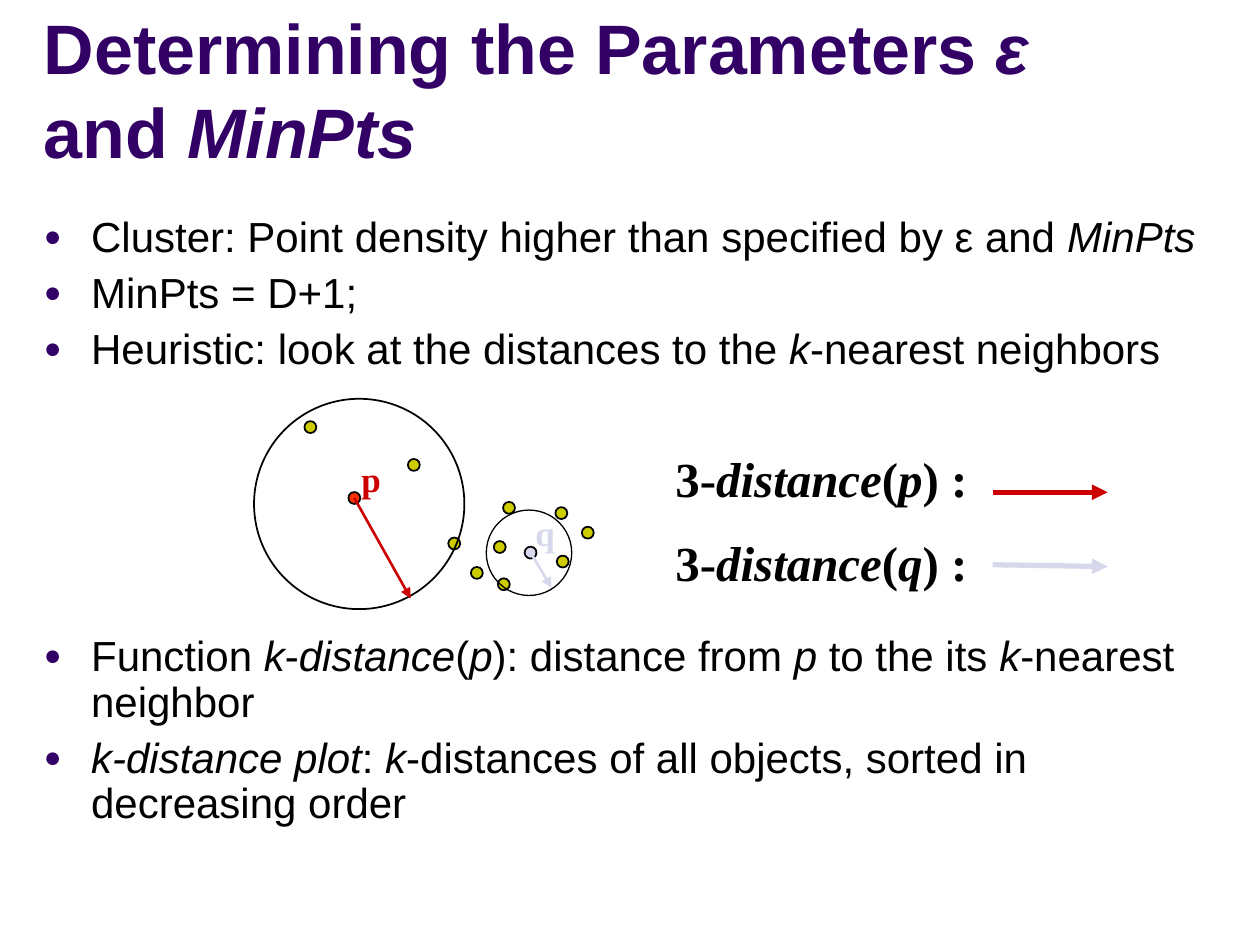
import pptx
import pptx.util
import pptx.dml.color
import pptx.enum.shapes
import pptx.enum.text
import pptx.oxml.ns
from lxml import etree

Pt = pptx.util.Pt
RGBColor = pptx.dml.color.RGBColor
ANCHOR = pptx.enum.text.MSO_ANCHOR
ALIGN = pptx.enum.text.PP_ALIGN

PURPLE = RGBColor(0x33, 0x00, 0x66)
BLACK = RGBColor(0x00, 0x00, 0x00)
OLIVE = RGBColor(0xCC, 0xCC, 0x00)
ORANGE = RGBColor(0xFF, 0x33, 0x00)
RED = RGBColor(0xCC, 0x00, 0x00)
LAVENDER = RGBColor(0xD8, 0xD8, 0xEC)

TITLE = "Determining the Parameters *ε* and *MinPts*"
UPPER_BULLETS = [
    "Cluster: Point density higher than specified by ε and *MinPts*",
    "MinPts = D+1;",
    "Heuristic: look at the distances to the *k*-nearest neighbors",
]
LOWER_BULLETS = [
    "Function *k*-*distance*(*p*): distance from *p* to the its *k*-nearest neighbor",
    "*k-distance plot*: *k*-distances of all objects, sorted in decreasing order",
]
POINT_SIZE = 6.8
POINT_P = (202.5, 284.6)
POINT_Q = (303.2, 315.8)
NEIGHBORS = [
    (272.5, 327.4), (259.6, 310.6), (335.9, 304.4), (285.6, 312.6),
    (290.9, 290.2), (320.8, 293.2), (321.6, 320.9), (287.9, 333.9),
    (236.5, 265.7), (177.4, 244.1),
]
NEIGHBORHOODS = [((205.3, 288), 120.2, 1), ((302.3, 315.9), 48.8, 0.75)]
POINT_LABELS = [("p", 199.4, 257.8, RED), ("q", 298.8, 288.7, LAVENDER)]
LEGEND = [("3-*distance*(*p*) :", 252.7), ("3-*distance*(*q*) :", 301)]
ARROWS = [
    (POINT_P, (234.7, 342), RED, 1.5),
    ((567.2, 281.3), (633, 281.3), RED, 3),
    (POINT_Q, (315.2, 335.9), LAVENDER, 1.5),
    ((567.2, 322.7), (633, 323.8), LAVENDER, 3),
]


def add_bullet(paragraph):
    properties = paragraph._p.get_or_add_pPr()
    properties.set("marL", str(Pt(27)))
    properties.set("indent", str(-Pt(27)))
    color = etree.SubElement(properties, pptx.oxml.ns.qn("a:buClr"))
    etree.SubElement(color, pptx.oxml.ns.qn("a:srgbClr"), val=str(PURPLE))
    etree.SubElement(properties, pptx.oxml.ns.qn("a:buSzPct"), val="70000")
    etree.SubElement(properties, pptx.oxml.ns.qn("a:buFont"), typeface="Arial")
    etree.SubElement(properties, pptx.oxml.ns.qn("a:buChar"), char="●")


def add_text(slide, paragraphs, box, size, font="Arial", color=BLACK, bold=False,
             bullets=False, wrap=True, anchor=ANCHOR.TOP, align=ALIGN.LEFT):
    frame = slide.shapes.add_textbox(*map(Pt, box)).text_frame
    frame.word_wrap = wrap
    frame.vertical_anchor = anchor
    for index, text in enumerate(paragraphs):
        paragraph = frame.add_paragraph() if index else frame.paragraphs[0]
        paragraph.alignment = align
        if bullets:
            paragraph.line_spacing = 0.9
            paragraph.space_before = Pt(6 if index else 0)
            add_bullet(paragraph)
        for position, piece in enumerate(text.split("*")):
            if piece:
                run = paragraph.add_run()
                run.text = piece
                run.font.name = font
                run.font.size = Pt(size)
                run.font.bold = bold
                run.font.italic = position % 2 == 1
                run.font.color.rgb = color


def add_circle(slide, center, diameter, fill=None, line_width=1):
    left, top = (value - diameter / 2 for value in center)
    circle = slide.shapes.add_shape(pptx.enum.shapes.MSO_SHAPE.OVAL,
                                    Pt(left), Pt(top), Pt(diameter), Pt(diameter))
    circle.shadow.inherit = False
    if fill is None:
        circle.fill.background()
    else:
        circle.fill.solid()
        circle.fill.fore_color.rgb = fill
    circle.line.color.rgb = BLACK
    circle.line.width = Pt(line_width)


def add_arrow(slide, start, end, color, width):
    arrow = slide.shapes.add_connector(pptx.enum.shapes.MSO_CONNECTOR.STRAIGHT,
                                       *map(Pt, start + end))
    arrow.line.color.rgb = color
    arrow.line.width = Pt(width)
    etree.SubElement(arrow.line._get_or_add_ln(), pptx.oxml.ns.qn("a:tailEnd"),
                     type="triangle")
    etree.SubElement(arrow._element.spPr, pptx.oxml.ns.qn("a:effectLst"))


def main():
    presentation = pptx.Presentation()
    presentation.slide_width, presentation.slide_height = Pt(720), Pt(540)
    slide = presentation.slides.add_slide(presentation.slide_layouts[6])

    add_text(slide, [TITLE], (18, 0, 582, 102), 40, color=PURPLE, bold=True,
             anchor=ANCHOR.BOTTOM)
    add_text(slide, UPPER_BULLETS, (18, 120.2, 690, 100), 24, bullets=True)
    add_text(slide, LOWER_BULLETS, (18, 359.6, 690, 120), 24, bullets=True)

    for center in NEIGHBORS:
        add_circle(slide, center, POINT_SIZE, fill=OLIVE)
    add_circle(slide, POINT_P, POINT_SIZE, fill=ORANGE)
    add_circle(slide, POINT_Q, POINT_SIZE, fill=LAVENDER)
    for center, diameter, line_width in NEIGHBORHOODS:
        add_circle(slide, center, diameter, line_width=line_width)

    for label, left, top, color in POINT_LABELS:
        add_text(slide, [label], (left, top, 28.8, 31), 20, font="Times New Roman",
                 color=color, bold=True)
    for entry, top in LEGEND:
        add_text(slide, [entry], (378.7, top, 181.4, 41), 28, font="Times New Roman",
                 bold=True, wrap=False, align=ALIGN.CENTER)
    for arrow in ARROWS:
        add_arrow(slide, *arrow)

    presentation.save("out.pptx")


if __name__ == "__main__":
    main()
